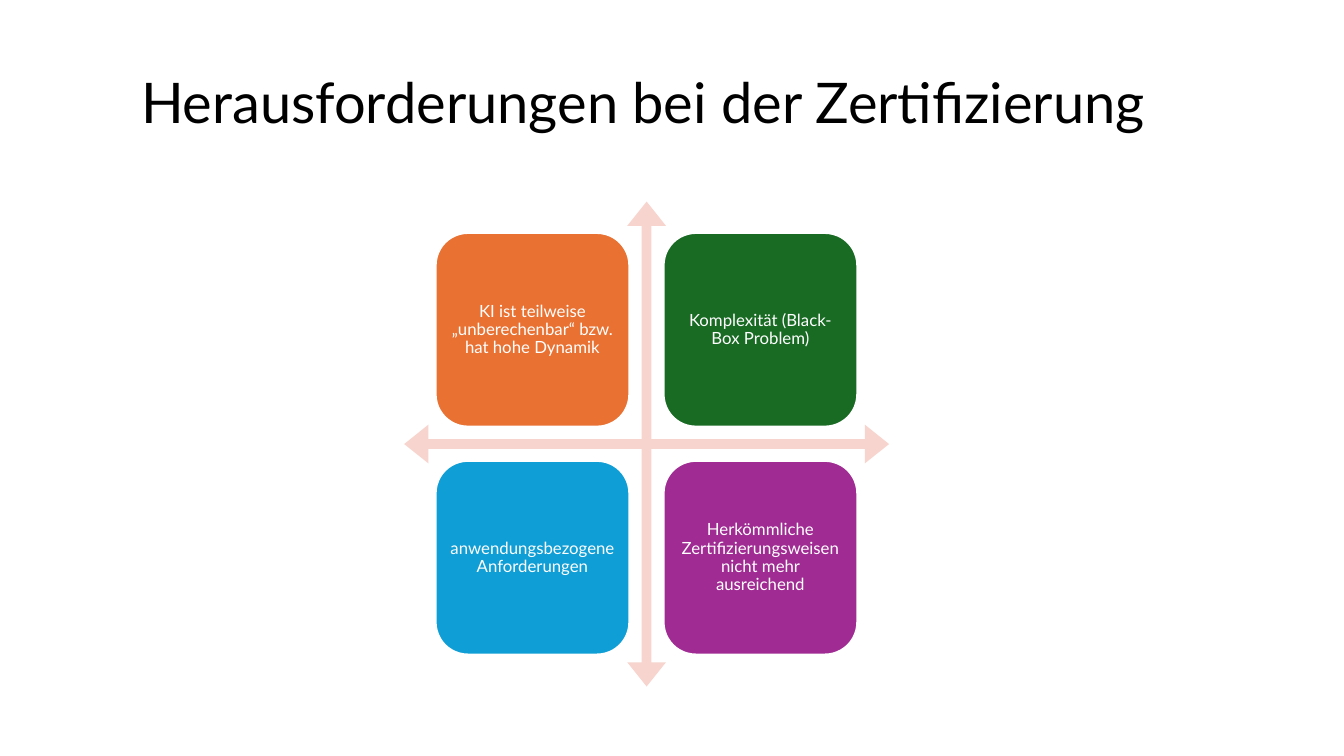
from pptx import Presentation
from pptx.dml.color import RGBColor
from pptx.enum.shapes import MSO_SHAPE
from pptx.enum.text import MSO_ANCHOR, PP_ALIGN
from pptx.util import Pt

COLORS = {
    "black": "000000",
    "white": "FFFFFF",
    "arrow": "F7D5CE",
    "orange": "E97132",
    "green": "196B24",
    "blue": "0F9ED5",
    "purple": "A02B93",
}
FONT = "Lato"
CHALLENGES = [
    ("KI ist teilweise „unberechenbar“ bzw. hat hohe Dynamik", "orange"),
    ("Komplexität (Black-Box Problem)", "green"),
    ("anwendungsbezogene Anforderungen", "blue"),
    ("Herkömmliche Zertifizierungsweisen nicht mehr ausreichend", "purple"),
]
ARROW_LEFT, ARROW_TOP, ARROW_SIZE = 288.7, 144, 346.4
TILE_LEFT, TILE_TOP, TILE_SIZE, TILE_PITCH = 311.2, 166.4, 138.4, 162.8


def rgb(name):
    return RGBColor.from_string(COLORS[name])


def style_paragraph(para, size, color, align):
    para.alignment = align
    para.line_spacing = 0.9
    para.font.name = FONT
    para.font.size = Pt(size)
    para.font.color.rgb = rgb(color)


deck = Presentation()
deck.slide_width, deck.slide_height = Pt(960), Pt(540)
page = deck.slides.add_slide(deck.slide_layouts[5])

title = page.shapes.title
title.left, title.top, title.width, title.height = Pt(93.6), Pt(50.4), Pt(736.6), Pt(94.3)
title.text_frame.text = "Herausforderungen bei der Zertifizierung"
title.text_frame.vertical_anchor = MSO_ANCHOR.TOP
style_paragraph(title.text_frame.paragraphs[0], 40, "black", PP_ALIGN.LEFT)

arrow = page.shapes.add_shape(
    MSO_SHAPE.QUAD_ARROW, Pt(ARROW_LEFT), Pt(ARROW_TOP), Pt(ARROW_SIZE), Pt(ARROW_SIZE)
)
for index, value in enumerate((0.02, 0.04, 0.05)):
    arrow.adjustments[index] = value
arrow.shadow.inherit = False
arrow.fill.solid()
arrow.fill.fore_color.rgb = rgb("arrow")
arrow.line.fill.background()

for index, (text, color) in enumerate(CHALLENGES):
    row, column = divmod(index, 2)
    tile = page.shapes.add_shape(
        MSO_SHAPE.ROUNDED_RECTANGLE,
        Pt(TILE_LEFT + column * TILE_PITCH),
        Pt(TILE_TOP + row * TILE_PITCH),
        Pt(TILE_SIZE),
        Pt(TILE_SIZE),
    )
    tile.shadow.inherit = False
    tile.fill.solid()
    tile.fill.fore_color.rgb = rgb(color)
    tile.line.color.rgb = rgb("white")
    tile.line.width = Pt(1.5)

    frame = tile.text_frame
    frame.word_wrap = True
    frame.vertical_anchor = MSO_ANCHOR.MIDDLE
    frame.margin_left = frame.margin_right = Pt(3)
    frame.margin_top = frame.margin_bottom = Pt(3)
    frame.text = text
    style_paragraph(frame.paragraphs[0], 12, "white", PP_ALIGN.CENTER)

deck.save("out.pptx")
